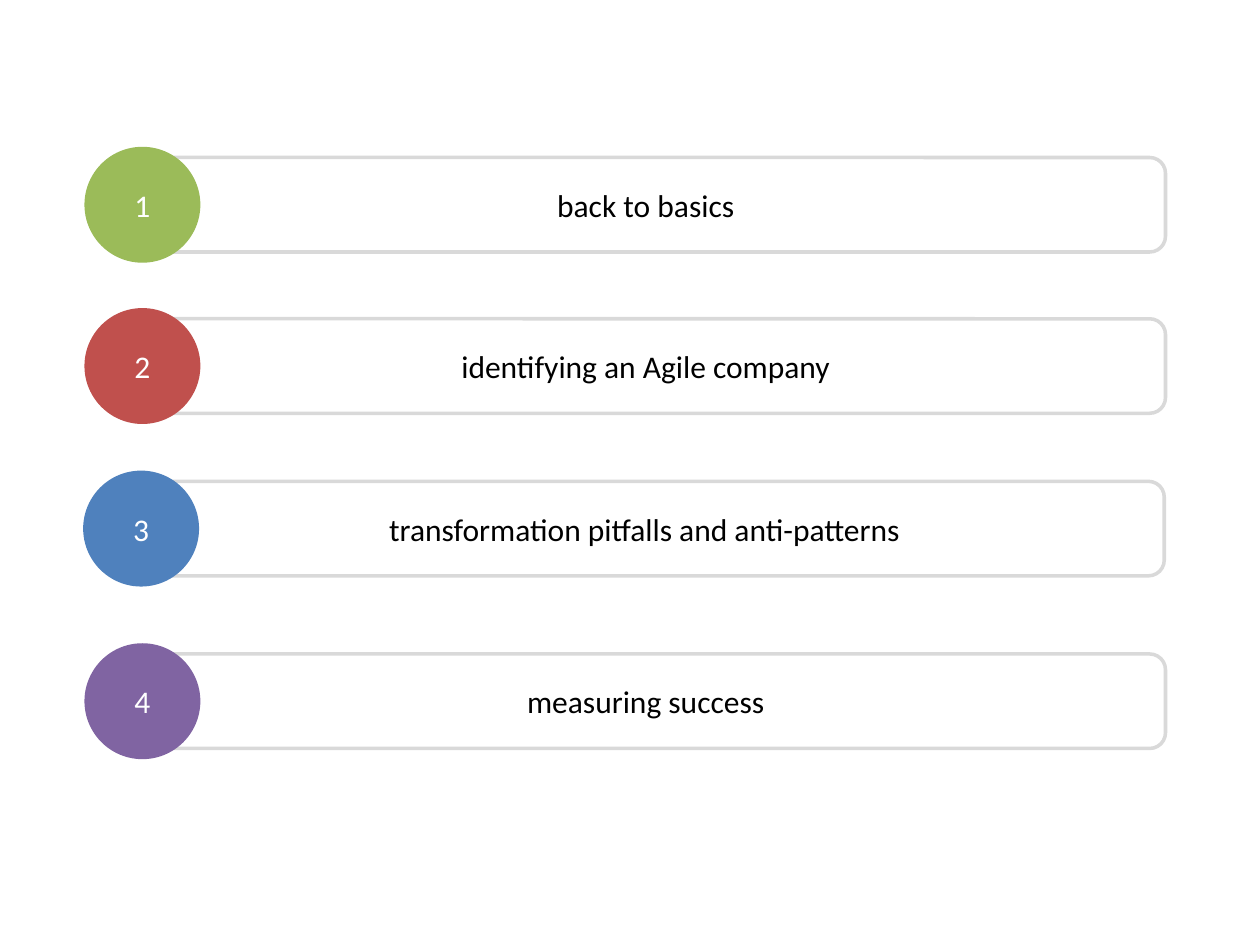
from dataclasses import dataclass

import pptx
import pptx.dml.color
import pptx.enum.shapes
import pptx.enum.text
import pptx.shapes.autoshape
import pptx.shapes.group
import pptx.util

COLORS = {
    "green": "9BBB59",
    "red": "C0504D",
    "blue": "4F81BD",
    "purple": "8064A2",
    "outline": "D9D9D9",
    "black": "000000",
    "white": "FFFFFF",
}
COLUMNS, ROWS = 10, 7.5
SLIDE_WIDTH, SLIDE_HEIGHT = pptx.util.Inches(10), pptx.util.Inches(7.5)
BAR_WIDTH, BAR_HEIGHT = 8.25, 0.75
CIRCLE_SIZE = 0.92
CIRCLE_OVERHANG = 0.33
SHAPES = pptx.enum.shapes.MSO_SHAPE


@dataclass(frozen=True)
class AgendaItem:
    text: str
    color: str
    bar_left: float
    bar_top: float


AGENDA = [
    AgendaItem("back to basics", "green", 1, 1.25),
    AgendaItem("identifying an Agile company", "red", 1, 2.53),
    AgendaItem("transformation pitfalls and anti-patterns", "blue", 0.99, 3.82),
    AgendaItem("measuring success", "purple", 1, 5.19),
]


def color(name: str) -> pptx.dml.color.RGBColor:
    return pptx.dml.color.RGBColor.from_string(COLORS[name])


def across(columns: float) -> int:
    return round(SLIDE_WIDTH * columns / COLUMNS)


def down(rows: float) -> int:
    return round(SLIDE_HEIGHT * rows / ROWS)


def add_labelled_shape(
    group: pptx.shapes.group.GroupShape,
    kind: SHAPES,
    left: float,
    top: float,
    width: float,
    height: float,
    text: str,
    text_color: str,
) -> pptx.shapes.autoshape.Shape:
    shape = group.shapes.add_shape(
        kind, across(left), down(top), across(width), down(height)
    )
    shape.shadow.inherit = False
    frame = shape.text_frame
    frame.word_wrap = True
    frame.vertical_anchor = pptx.enum.text.MSO_ANCHOR.MIDDLE
    paragraph = frame.paragraphs[0]
    paragraph.text = text
    paragraph.alignment = pptx.enum.text.PP_ALIGN.CENTER
    paragraph.font.name = "Calibri"
    paragraph.font.size = pptx.util.Pt(18)
    paragraph.font.color.rgb = color(text_color)
    return shape


def add_agenda_item(slide: pptx.slide.Slide, number: int, item: AgendaItem) -> None:
    group = slide.shapes.add_group_shape()
    bar = add_labelled_shape(
        group, SHAPES.ROUNDED_RECTANGLE, item.bar_left, item.bar_top,
        BAR_WIDTH, BAR_HEIGHT, item.text, "black",
    )
    bar.fill.background()
    bar.line.color.rgb = color("outline")
    bar.line.width = pptx.util.Pt(2)

    circle_top = item.bar_top - (CIRCLE_SIZE - BAR_HEIGHT) / 2
    circle = add_labelled_shape(
        group, SHAPES.OVAL, item.bar_left - CIRCLE_OVERHANG, circle_top,
        CIRCLE_SIZE, CIRCLE_SIZE, str(number), "white",
    )
    circle.fill.solid()
    circle.fill.fore_color.rgb = color(item.color)
    circle.line.fill.background()


def main() -> None:
    presentation = pptx.Presentation()
    presentation.slide_width = SLIDE_WIDTH
    presentation.slide_height = SLIDE_HEIGHT
    slide = presentation.slides.add_slide(presentation.slide_layouts[6])
    for number, item in enumerate(AGENDA, start=1):
        add_agenda_item(slide, number, item)
    presentation.save("out.pptx")


if __name__ == "__main__":
    main()
